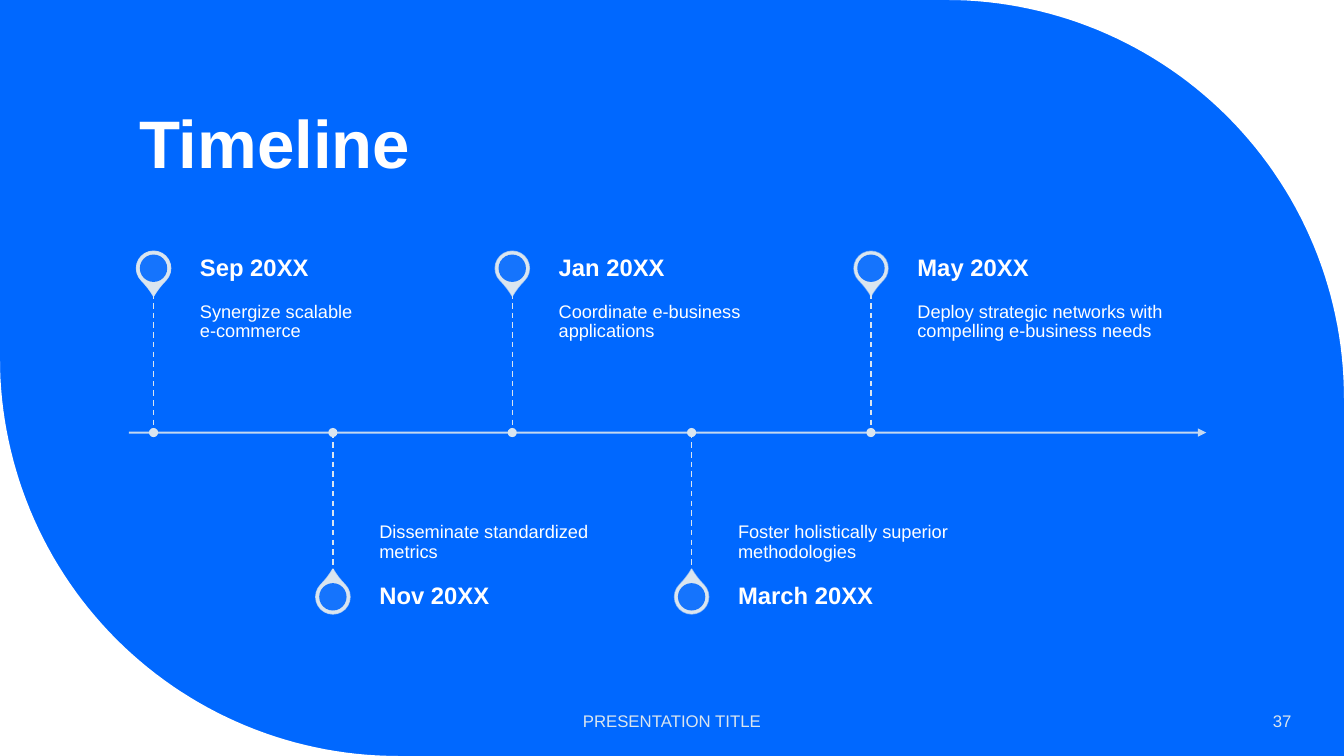
import math

from lxml import etree
from pptx import Presentation
from pptx.dml.color import RGBColor
from pptx.enum.dml import MSO_LINE
from pptx.enum.shapes import MSO_CONNECTOR, MSO_SHAPE
from pptx.enum.text import MSO_ANCHOR, MSO_AUTO_SIZE, PP_ALIGN
from pptx.oxml.ns import qn
from pptx.util import Cm, Pt

STRAIGHT = MSO_CONNECTOR.STRAIGHT
ELLIPSE, TEARDROP = MSO_SHAPE.OVAL, MSO_SHAPE.TEAR
DASH = MSO_LINE.DASH
TOP, MIDDLE, BOTTOM = MSO_ANCHOR.TOP, MSO_ANCHOR.MIDDLE, MSO_ANCHOR.BOTTOM
LEFT, CENTER, RIGHT = PP_ALIGN.LEFT, PP_ALIGN.CENTER, PP_ALIGN.RIGHT

BLUE, WHITE, PALE = "0068FF", "FFFFFF", "DAE5EF"
FONT = "Arial"
SLIDE_W, SLIDE_H = 33.87, 19.05
CORNER_R = 10.03
AXIS_Y = 10.9
FIRST_X, STEP_X = 3.87, 4.52
TEXT_GAP, TEXT_W = 1.17, 6.43
NOTE_H, DATE_H = 3.5, 1.24

MILESTONES = [
    ("Sep 20XX", "Synergize scalable\ne-commerce"),
    ("Nov 20XX", "Disseminate standardized metrics"),
    ("Jan 20XX", "Coordinate e-business applications"),
    ("March 20XX", "Foster holistically superior methodologies"),
    ("May 20XX", "Deploy strategic networks with compelling e-business needs"),
]


def paint(target, colour, alpha=100):
    """Give a fill a solid colour, with alpha as percent opacity."""
    target.solid()
    target.fore_color.rgb = RGBColor.from_string(colour)
    if alpha < 100:
        clr = target._xPr.find(qn("a:solidFill"))[0]
        etree.SubElement(clr, qn("a:alpha"), val=str(alpha * 1000))


def format_text(tf, size, colour, bold=False, align=LEFT, anchor=MIDDLE, spacing=1.0):
    tf.word_wrap = True
    tf.auto_size = MSO_AUTO_SIZE.NONE
    tf.vertical_anchor = anchor
    for p in tf.paragraphs:
        p.alignment = align
        p.line_spacing = spacing
        for r in p.runs:
            r.font.name = FONT
            r.font.size = Pt(size)
            r.font.bold = bold
            r.font.color.rgb = RGBColor.from_string(colour)


def add_text(s, text, x, y, w, h, size, colour, insets=None, **style):
    tf = s.shapes.add_textbox(Cm(x), Cm(y), Cm(w), Cm(h)).text_frame
    tf.paragraphs[0].text = text
    if insets:
        tf.margin_left, tf.margin_top, tf.margin_right, tf.margin_bottom = map(Cm, insets)
    format_text(tf, size, colour, **style)


def add_centred(s, kind, x, y, size, colour, alpha=100):
    """Add a square-framed shape around the point x, y."""
    sp = s.shapes.add_shape(kind, Cm(x - size / 2), Cm(y - size / 2), Cm(size), Cm(size))
    sp.shadow.inherit = False
    paint(sp.fill, colour, alpha)
    sp.line.fill.background()
    return sp


def add_line(s, x1, y1, x2, y2, width, alpha=100):
    line = s.shapes.add_connector(STRAIGHT, Cm(x1), Cm(y1), Cm(x2), Cm(y2))
    line.line.width = Pt(width)
    paint(line.line.fill, PALE, alpha)
    etree.SubElement(line._element.spPr, qn("a:effectLst"))
    return line


def add_corner(s, corner_x, corner_y, centre_x, centre_y, start):
    """Add the white area between a slide corner and a quarter circle."""
    arc = [math.radians(start + 1.5 * i) for i in range(61)]
    points = [(Cm(centre_x + CORNER_R * math.cos(a)), Cm(centre_y + CORNER_R * math.sin(a)))
              for a in arc]
    builder = s.shapes.build_freeform(Cm(corner_x), Cm(corner_y))
    builder.add_line_segments(points, close=True)
    sp = builder.convert_to_shape()
    sp.shadow.inherit = False
    paint(sp.fill, WHITE)
    sp.line.fill.background()


def add_axis(s):
    axis = add_line(s, 3.25, AXIS_Y, 30.4, AXIS_Y, 1.5, alpha=90)
    etree.SubElement(axis.line._get_or_add_ln(), qn("a:tailEnd"), type="triangle")


def add_milestone(s, index, date, note):
    """Add a pin, its texts and its dashed stem; even ones stand above the axis."""
    above = index % 2 == 0
    x = FIRST_X + index * STEP_X
    pin_y, rotation = (6.76, 135) if above else (15.04, 315)
    date_y, note_y = (6.15, 7.39) if above else (14.43, AXIS_Y)
    stem_end = 7.39 if above else 14.43

    pin = add_centred(s, TEARDROP, x, pin_y, 0.86, PALE)
    pin.adjustments[0] = 1.15
    pin.rotation = rotation
    pin.line.width = Pt(1)
    paint(pin.line.fill, PALE, 90 - 10 * index)
    add_centred(s, ELLIPSE, x, pin_y, 0.69, BLUE, 90)

    text_x = x + TEXT_GAP
    add_text(s, note, text_x, note_y, TEXT_W, NOTE_H, 13, WHITE, spacing=0.9,
             insets=(0, 0.23, 0, 0.36) if above else (0, 0.36, 0, 0.23),
             anchor=TOP if above else BOTTOM)
    add_text(s, date, text_x, date_y, TEXT_W, DATE_H, 17, WHITE, spacing=0.9,
             insets=(0, 0, 0.3, 0), bold=True)

    stem = add_line(s, x, min(AXIS_Y, stem_end), x, max(AXIS_Y, stem_end), 1)
    stem.line.dash_style = DASH
    add_centred(s, ELLIPSE, x, AXIS_Y, 0.23, PALE)


def add_title(s, text):
    title = s.shapes.title
    title.left, title.top, title.width, title.height = Cm(3.25), Cm(0), Cm(27.15), Cm(4.75)
    title.text_frame.text = text
    format_text(title.text_frame, 48, WHITE, bold=True, anchor=BOTTOM, spacing=0.9)


def main():
    prs = Presentation()
    prs.slide_width, prs.slide_height = Cm(SLIDE_W), Cm(SLIDE_H)
    s = prs.slides.add_slide(prs.slide_layouts[5])
    paint(s.background.fill, BLUE)

    add_corner(s, SLIDE_W, 0, SLIDE_W - CORNER_R, CORNER_R, 270)
    add_corner(s, 0, SLIDE_H, CORNER_R, SLIDE_H - CORNER_R, 90)
    add_title(s, "Timeline")
    add_axis(s)
    for index, (date, note) in enumerate(MILESTONES):
        add_milestone(s, index, date, note)
    add_text(s, "PRESENTATION TITLE", 11.22, 17.65, 11.43, 1.02, 12, PALE, align=CENTER)
    add_text(s, "37", 28.2, 17.65, 4.6, 1.02, 12, PALE, align=RIGHT)

    prs.save("out.pptx")


if __name__ == "__main__":
    main()
